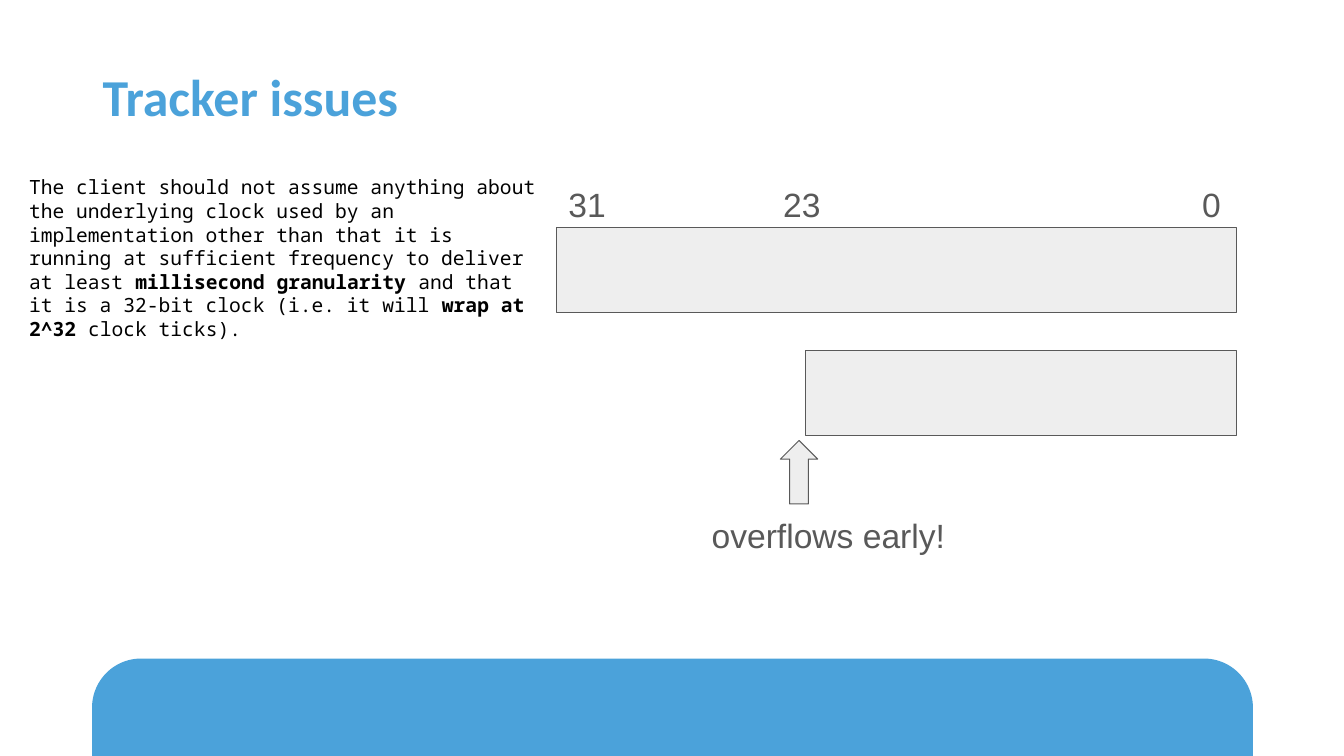
import pptx
import pptx.dml.color
import pptx.enum.shapes
import pptx.enum.text
import pptx.oxml.ns
import pptx.util
from lxml import etree

RGBColor = pptx.dml.color.RGBColor
Shape = pptx.enum.shapes.MSO_SHAPE
Anchor = pptx.enum.text.MSO_ANCHOR
Inches = pptx.util.Inches
Pt = pptx.util.Pt

BLUE = RGBColor(0x4B, 0xA2, 0xDA)
BLACK = RGBColor(0, 0, 0)
GREY = RGBColor(0x59, 0x59, 0x59)
PALE = RGBColor(0xEE, 0xEE, 0xEE)

# Each run is (text, bold)
TITLE = [("Tracker issues", True)]
CLOCK_RULE = [
    ("The client should not assume anything about the underlying clock used by "
     "an implementation other than that it is running at sufficient frequency "
     "to deliver at least ", False),
    ("millisecond granularity ", True),
    ("and that it is a 32-bit clock (i.e. it will ", False),
    ("wrap at 2^32", True),
    (" clock ticks).", False),
]
BIT_NUMBERS = [("31\t23\t0", False)]
BIT_TABS = [(2.13, "l"), (6.47, "r")]
WARNING = [("overflows early!", False)]

SLIDE_WIDTH, SLIDE_HEIGHT = 13.33, 7.5
MARGIN = 0.92
CONTENT_WIDTH = 11.5
FOOTER_HEIGHT = 0.96
REGISTER_RIGHT = 12.26
REGISTER_HEIGHT = 0.84
REGISTERS = [(6.74, 2.26), (4.27, 3.48)]  # width, top


def add_block(slide, preset, box, fill, line, line_width):
    block = slide.shapes.add_shape(preset, *map(Inches, box))
    block.shadow.inherit = False
    block.fill.solid()
    block.fill.fore_color.rgb = fill
    block.line.color.rgb = line
    block.line.width = Pt(line_width)
    return block


def add_text(slide, box, runs, font, size, color, inset=0.1, anchor=Anchor.TOP):
    frame = slide.shapes.add_textbox(*map(Inches, box)).text_frame
    frame.word_wrap = True
    frame.vertical_anchor = anchor
    frame.margin_left = frame.margin_right = Inches(0.1)
    frame.margin_top = frame.margin_bottom = Inches(inset)
    paragraph = frame.paragraphs[0]
    for text, bold in runs:
        run = paragraph.add_run()
        run.text = text
        run.font.name = font
        run.font.size = Pt(size)
        run.font.bold = bold
        run.font.color.rgb = color
    return paragraph


def add_tabs(paragraph, tabs):
    qn = pptx.oxml.ns.qn
    tab_list = etree.SubElement(paragraph._p.get_or_add_pPr(), qn("a:tabLst"))
    for position, alignment in tabs:
        etree.SubElement(tab_list, qn("a:tab"),
                         pos=str(Inches(position)), algn=alignment)


def main():
    deck = pptx.Presentation()
    deck.slide_width = Inches(SLIDE_WIDTH)
    deck.slide_height = Inches(SLIDE_HEIGHT)
    slide = deck.slides.add_slide(deck.slide_layouts[6])

    footer = add_block(slide, Shape.ROUND_2_SAME_RECTANGLE,
                       (MARGIN, SLIDE_HEIGHT - FOOTER_HEIGHT, CONTENT_WIDTH, FOOTER_HEIGHT),
                       BLUE, BLUE, 1)
    footer.adjustments[0] = 0.5

    title = add_text(slide, (MARGIN, 0.4, CONTENT_WIDTH, 1.18), TITLE,
                     "Calibri", 37, BLUE, inset=0.05, anchor=Anchor.MIDDLE)
    title.line_spacing = 0.9
    add_text(slide, (0.19, 1.64, 5.25, 4.53), CLOCK_RULE, "Noto Sans Mono", 14, BLACK)

    for width, top in REGISTERS:
        add_block(slide, Shape.RECTANGLE,
                  (REGISTER_RIGHT - width, top, width, REGISTER_HEIGHT), PALE, GREY, 0.75)
    bit_numbers = add_text(slide, (5.54, 1.72, 6.74, 0.41), BIT_NUMBERS, "Arial", 24, GREY)
    add_tabs(bit_numbers, BIT_TABS)

    add_text(slide, (6.96, 5.01, 3.66, 0.32), WARNING, "Arial", 24, GREY)
    add_block(slide, Shape.UP_ARROW, (7.74, 4.37, 0.37, 0.63), PALE, GREY, 0.75)

    deck.save("out.pptx")


if __name__ == "__main__":
    main()
